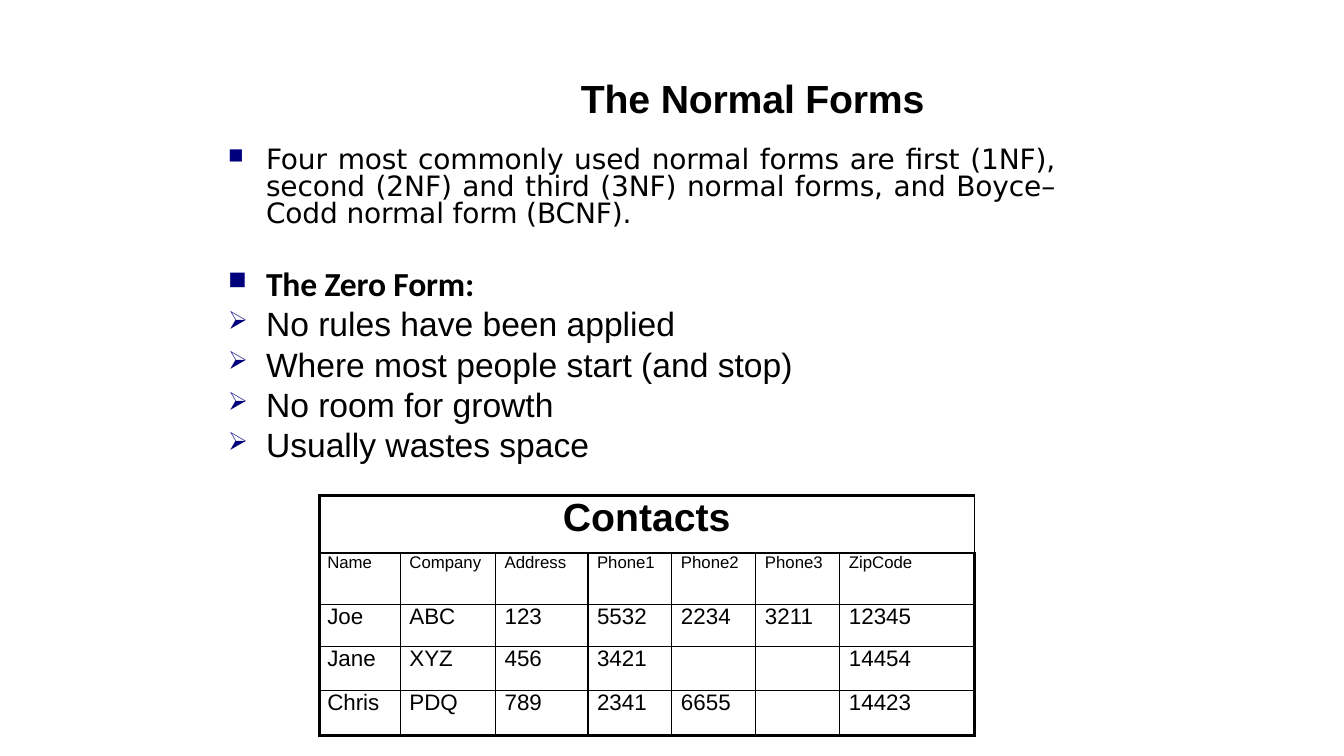
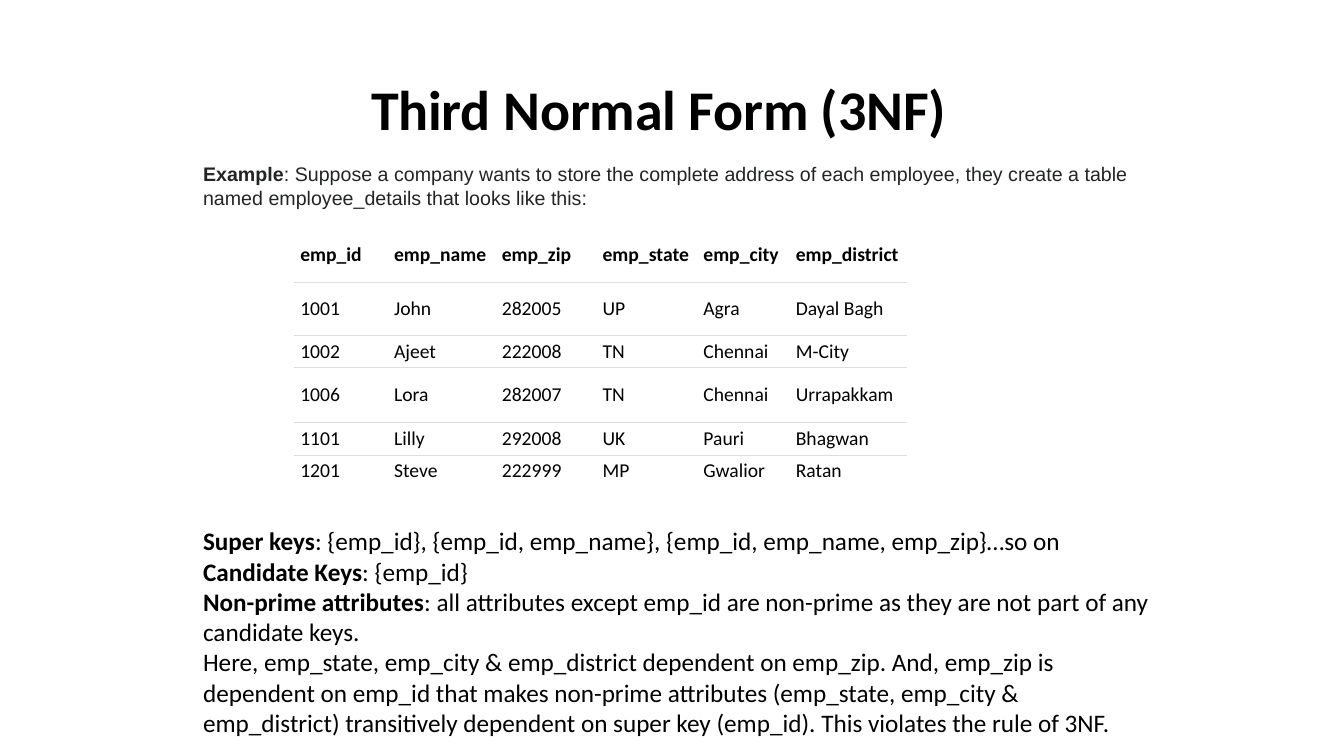
from lxml import etree
from pptx import Presentation
from pptx.dml.color import RGBColor
from pptx.enum.shapes import MSO_SHAPE
from pptx.enum.text import MSO_ANCHOR, MSO_AUTO_SIZE, PP_ALIGN
from pptx.oxml.ns import qn
from pptx.util import Pt

BLACK = RGBColor(0x00, 0x00, 0x00)
WHITE = RGBColor(0xFF, 0xFF, 0xFF)
CHARCOAL = RGBColor(0x22, 0x24, 0x26)
NAVY = RGBColor(0x00, 0x00, 0x7C)
GRID_BLACK = RGBColor(0x01, 0x01, 0x01)
GRID_GREY = RGBColor(0xDD, 0xDD, 0xDD)
TITLE_ONLY = 5

CONTACTS = [
    ["Name", "Company", "Address", "Phone1", "Phone2", "Phone3", "ZipCode"],
    ["Joe", "ABC", "123", "5532", "2234", "3211", "12345"],
    ["Jane", "XYZ", "456", "3421", "", "", "14454"],
    ["Chris", "PDQ", "789", "2341", "6655", "", "14423"],
]
EMPLOYEES = [
    ["emp_id", "emp_name", "emp_zip", "emp_state", "emp_city", "emp_district"],
    ["1001", "John", "282005", "UP", "Agra", "Dayal Bagh"],
    ["1002", "Ajeet", "222008", "TN", "Chennai", "M-City"],
    ["1006", "Lora", "282007", "TN", "Chennai", "Urrapakkam"],
    ["1101", "Lilly", "292008", "UK", "Pauri", "Bhagwan"],
    ["1201", "Steve", "222999", "MP", "Gwalior", "Ratan"],
]
ZERO_FORM_RULES = [
    "No rules have been applied",
    "Where most people start (and stop)",
    "No room for growth",
    "Usually wastes space",
]
KEY_NOTES = [
    ("Super keys", ": {emp_id}, {emp_id, emp_name}, {emp_id, emp_name, emp_zip}…so on"),
    ("Candidate Keys", ": {emp_id}"),
    ("Non-prime attributes", ": all attributes except emp_id are non-prime as they "
     "are not part of any candidate keys."),
    ("", "Here, emp_state, emp_city & emp_district dependent on emp_zip. And, emp_zip is "
     "dependent on emp_id that makes non-prime attributes (emp_state, emp_city & "
     "emp_district) transitively dependent on super key (emp_id). "
     "This violates the rule of 3NF."),
]


def points(values):
    """Turn plain numbers into point lengths."""
    return [Pt(value) for value in values]


def add_run(paragraph, text, font_name, size, bold=False, color=BLACK, tracking=0):
    """Append one formatted run; tracking is in hundredths of a point."""
    run = paragraph.add_run()
    run.text = text
    run.font.name, run.font.size, run.font.bold = font_name, Pt(size), bold
    run.font.color.rgb = color
    if tracking:
        run._r.get_or_add_rPr().set("spc", str(tracking))


def set_margins(frame, left=0, top=0, right=0, bottom=0):
    """Set the inner margins of a text frame or table cell."""
    frame.margin_left, frame.margin_top = Pt(left), Pt(top)
    frame.margin_right, frame.margin_bottom = Pt(right), Pt(bottom)


def next_paragraph(frame):
    """Return the empty first paragraph, or a new one."""
    first = frame.paragraphs[0]
    return frame.add_paragraph() if first.runs else first


def add_titled_slide(deck, text, box, font_name, size):
    """Add a slide whose title starts at the left edge of its box."""
    slide = deck.slides.add_slide(deck.slide_layouts[TITLE_ONLY])
    title = slide.shapes.title
    title.left, title.top, title.width, title.height = points(box)
    frame = title.text_frame
    frame.auto_size, frame.vertical_anchor = MSO_AUTO_SIZE.NONE, MSO_ANCHOR.MIDDLE
    set_margins(frame)
    paragraph = frame.paragraphs[0]
    paragraph.alignment = PP_ALIGN.LEFT
    add_run(paragraph, text, font_name, size, bold=True, tracking=-10)
    return slide


def add_text_frame(slide, box):
    """Add a wrapping text box and return its frame."""
    frame = slide.shapes.add_textbox(*points(box)).text_frame
    frame.word_wrap = True
    return frame


def add_bullet(frame, mark, line_height):
    """Start a paragraph with a navy hanging bullet."""
    paragraph = next_paragraph(frame)
    paragraph.line_spacing = Pt(line_height)
    properties = paragraph._p.get_or_add_pPr()
    properties.set("marL", str(Pt(28)))
    properties.set("indent", str(Pt(-27)))
    bullet_color = etree.SubElement(properties, qn("a:buClr"))
    etree.SubElement(bullet_color, qn("a:srgbClr"), val=str(NAVY))
    etree.SubElement(properties, qn("a:buSzPct"), val="75000")
    etree.SubElement(properties, qn("a:buChar"), char=mark)
    return paragraph


def set_borders(cell, color, widths):
    """Draw left, right, top and bottom borders; zero width hides one."""
    properties = cell._tc.get_or_add_tcPr()
    for index, (side, width) in enumerate(zip("LRTB", widths)):
        line = etree.Element(qn(f"a:ln{side}"), w=str(Pt(width)))
        if width:
            fill = etree.SubElement(line, qn("a:solidFill"))
            etree.SubElement(fill, qn("a:srgbClr"), val=str(color))
        else:
            etree.SubElement(line, qn("a:noFill"))
        properties.insert(index, line)


def add_grid(slide, corner, columns, rows, color, outer, across, down):
    """Add an unstyled table with outer, row and column rules."""
    box = (*corner, sum(columns), sum(rows))
    table = slide.shapes.add_table(len(rows), len(columns), *points(box)).table
    table.first_row = table.horz_banding = False
    for column, width in zip(table.columns, columns):
        column.width = Pt(width)
    for row, height in zip(table.rows, rows):
        row.height = Pt(height)
    last_row, last_column = len(rows) - 1, len(columns) - 1
    for r, row in enumerate(table.rows):
        for c, cell in enumerate(row.cells):
            cell.fill.solid()
            cell.fill.fore_color.rgb = WHITE
            set_borders(cell, color, (
                outer if c == 0 else down, outer if c == last_column else down,
                outer if r == 0 else across, outer if r == last_row else across))
    return table


def fill_cell(cell, text, font_name, size, bold=False):
    """Write one run into a cell, leaving blank cells empty."""
    if text:
        add_run(cell.text_frame.paragraphs[0], text, font_name, size, bold)


def add_zero_form_text(slide, box):
    """Place the introduction and the zero form bullets."""
    frame = add_text_frame(slide, box)
    set_margins(frame)
    introduction = add_bullet(frame, "■", 19.3)
    introduction.alignment = PP_ALIGN.JUSTIFY
    add_run(introduction, "Four most commonly used normal forms are first (1NF), second (2NF) "
            "and third (3NF) normal forms, and Boyce–Codd normal form (BCNF).",
            "DejaVu Sans", 20, tracking=-10)
    heading = add_bullet(frame, "■", 28.8)
    heading.space_before = Pt(24)
    add_run(heading, "The Zero Form:", "Calibri", 24, bold=True, tracking=-10)
    for rule in ZERO_FORM_RULES:
        add_run(add_bullet(frame, "➢", 28.8), rule, "Arial", 24)


def add_contacts_table(slide, corner):
    """Place the contacts table with its merged heading."""
    table = add_grid(slide, corner, (58, 68, 66, 60, 60, 60, 96), (41, 37, 30, 31, 32.5),
                     GRID_BLACK, outer=2.25, across=1, down=1)
    heading = table.cell(0, 0)
    heading.merge(table.cell(0, 6))
    set_margins(heading)
    heading.text_frame.paragraphs[0].alignment = PP_ALIGN.CENTER
    fill_cell(heading, "Contacts", "Arial", 28, bold=True)
    for r, record in enumerate(CONTACTS, start=1):
        for c, value in enumerate(record):
            set_margins(table.cell(r, c), left=6.5 if c else 5.8)
            fill_cell(table.cell(r, c), value, "Arial", 12 if r == 1 else 16)


def add_employee_table(slide, corner):
    """Place the employee_details table."""
    table = add_grid(slide, corner, (67, 77, 72, 72, 66, 84), (39.5, 38, 23, 39.5, 23, 23),
                     GRID_GREY, outer=0, across=0.75, down=0)
    for r, record in enumerate(EMPLOYEES):
        for c, value in enumerate(record):
            cell = table.cell(r, c)
            cell.vertical_anchor = MSO_ANCHOR.MIDDLE
            set_margins(cell, 4.5, 3, 4.5, 3)
            fill_cell(cell, value, "Calibri", 14, bold=r == 0)


def add_example(slide, box):
    """Place the example sentence on a white panel."""
    panel = slide.shapes.add_shape(MSO_SHAPE.RECTANGLE, *points(box))
    panel.shadow.inherit = False
    panel.fill.solid()
    panel.fill.fore_color.rgb = WHITE
    panel.line.fill.background()
    frame = panel.text_frame
    frame.word_wrap, frame.vertical_anchor = True, MSO_ANCHOR.TOP
    set_margins(frame, 7.2, 4.5, 7.2, 3.6)
    sentence = frame.paragraphs[0]
    sentence.alignment = PP_ALIGN.LEFT
    add_run(sentence, "Example", "Arial", 14, bold=True, color=CHARCOAL)
    add_run(sentence, ": Suppose a company wants to store the complete address of each employee, "
            "they create a table named employee_details that looks like this:",
            "Arial", 14, color=CHARCOAL)


def add_key_notes(slide, box):
    """Place the notes on keys and dependencies."""
    frame = add_text_frame(slide, box)
    for term, explanation in KEY_NOTES:
        paragraph = next_paragraph(frame)
        if term:
            add_run(paragraph, term, "Calibri", 18, bold=True)
        add_run(paragraph, explanation, "Calibri", 18)


def build_normal_forms(deck):
    """Build the slide on the normal forms."""
    slide = add_titled_slide(deck, "The Normal Forms", (415, 52, 380, 36), "Arial", 28)
    add_zero_form_text(slide, (162, 106, 591.5, 226))
    add_contacts_table(slide, (228, 354))


def build_third_normal_form(deck):
    """Build the slide on the third normal form."""
    slide = add_titled_slide(deck, "Third Normal Form (3NF)", (265, 52, 430, 50), "Calibri", 40)
    add_employee_table(slide, (210, 162))
    add_example(slide, (138, 111.5, 690, 58.5))
    add_key_notes(slide, (138, 372, 690, 160))


def main():
    """Build and save the deck."""
    deck = Presentation()
    deck.slide_width, deck.slide_height = Pt(960), Pt(540)
    build_normal_forms(deck)
    build_third_normal_form(deck)
    deck.save("out.pptx")


if __name__ == "__main__":
    main()
